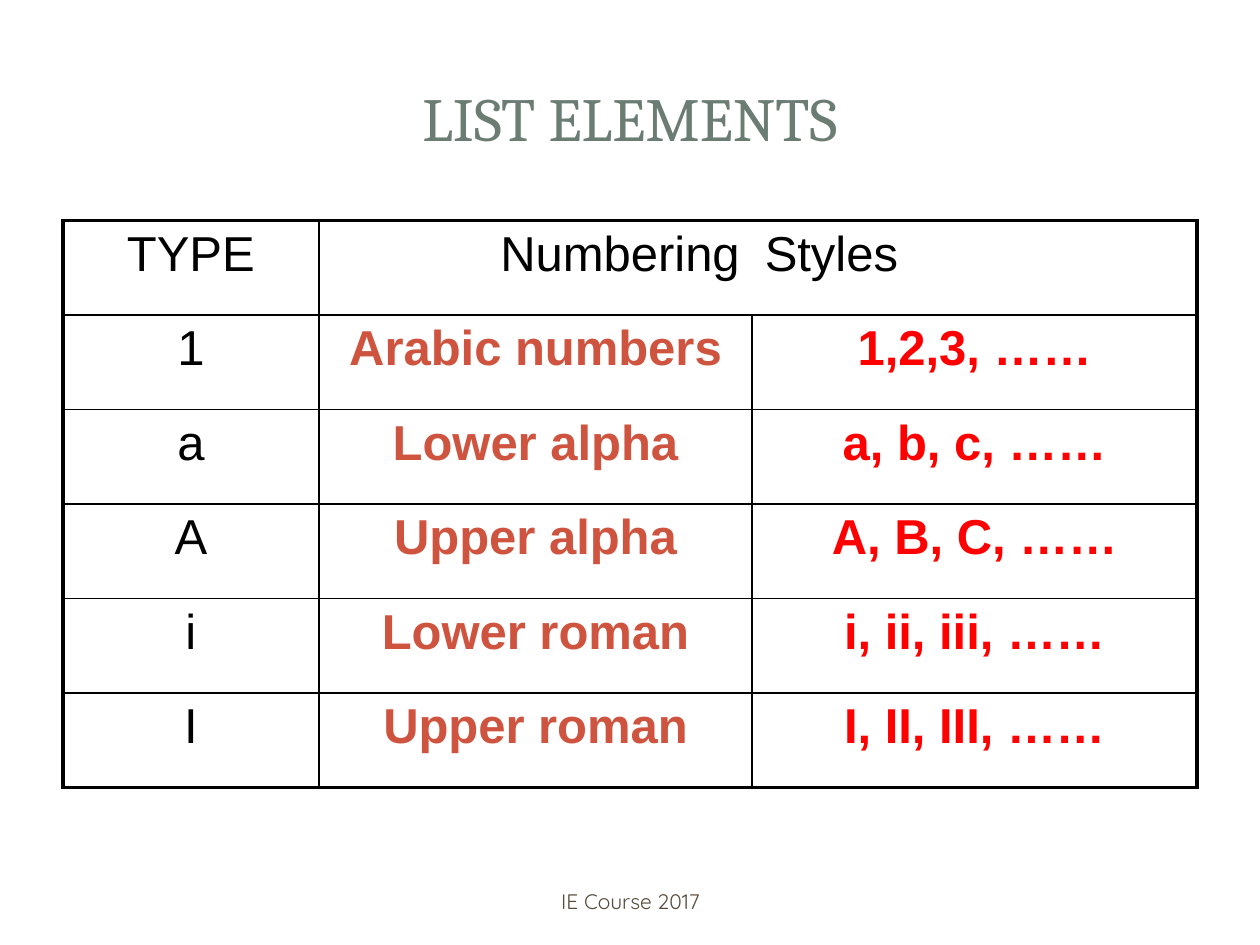
from lxml.etree import SubElement
from pptx import Presentation
from pptx.dml.color import RGBColor
from pptx.enum.shapes import MSO_SHAPE
from pptx.enum.text import MSO_ANCHOR, PP_ALIGN
from pptx.oxml.ns import qn
from pptx.util import Inches, Pt

BLACK = RGBColor(0x00, 0x00, 0x00)
WHITE = RGBColor(0xFF, 0xFF, 0xFF)
RED = RGBColor(0xFF, 0x00, 0x00)
RUST = RGBColor(0xCF, 0x54, 0x3F)
SAGE = RGBColor(0x6B, 0x7D, 0x72)
BROWN = RGBColor(0x56, 0x4B, 0x3C)

THIN, THICK = 1, 2.25
COL_WIDTHS = [2.03, 3.44, 3.53]
COL_COLORS = [BLACK, RUST, RED]
ROWS = [
    ["TYPE", "Numbering", "Styles"],
    ["1", "Arabic numbers", "1,2,3, ……"],
    ["a", "Lower alpha", "a, b, c, ……"],
    ["A", "Upper alpha", "A, B, C, ……"],
    ["i", "Lower roman", "i, ii, iii, ……"],
    ["I", "Upper roman", "I, II, III, ……"],
]


def set_text(tf, text, font, size, color, bold=False, align=PP_ALIGN.CENTER):
    """Write one formatted paragraph into a text frame."""
    tf.text = text
    p = tf.paragraphs[0]
    p.alignment = align
    p.font.name = font
    p.font.size = Pt(size)
    p.font.bold = bold
    p.font.color.rgb = color


def set_border(cell, side, width):
    """Draw one side of a cell, or hide it when width is zero."""
    ln = SubElement(cell._tc.get_or_add_tcPr(), qn(f"a:ln{side}"), w=str(Pt(width)))
    if width:
        fill = SubElement(ln, qn("a:solidFill"))
        SubElement(fill, qn("a:srgbClr"), val=str(BLACK))
    else:
        SubElement(ln, qn("a:noFill"))


def add_panel(s, shape_type, left, top, width, height):
    """Add a plain white backdrop panel."""
    sp = s.shapes.add_shape(shape_type, Inches(left), Inches(top), Inches(width), Inches(height))
    sp.shadow.inherit = False
    sp.fill.solid()
    sp.fill.fore_color.rgb = WHITE
    sp.line.fill.background()
    return sp


def add_backdrop(s):
    """Add the slide panel and the two title panels."""
    page = add_panel(s, MSO_SHAPE.ROUNDED_RECTANGLE, 0.1, 0.11, 9.8, 7.29)
    page.adjustments[0] = 0.02
    band = add_panel(s, MSO_SHAPE.RECTANGLE, 0.3, 0.3, 9.4, 1.45)
    color = band.fill._xPr.find(qn("a:solidFill"))[0]
    SubElement(color, qn("a:alpha"), val="83000")
    add_panel(s, MSO_SHAPE.RECTANGLE, 0.41, 0.41, 9.17, 1.22)


def add_title(s, text):
    """Place and format the slide title in front of the panels."""
    title = s.shapes.title
    s.shapes._spTree.append(title._element)
    title.left, title.top = Inches(0.5), Inches(0.3)
    title.width, title.height = Inches(9), Inches(1.25)
    title.text_frame.vertical_anchor = MSO_ANCHOR.MIDDLE
    set_text(title.text_frame, text, "Cambria", 35, SAGE)


def add_styles_table(s):
    """Add the table of numbering styles with a thick outer frame."""
    last_row, last_col = len(ROWS) - 1, len(COL_WIDTHS) - 1
    table = s.shapes.add_table(len(ROWS), len(COL_WIDTHS), Inches(0.5), Inches(1.75),
                               Inches(9), Inches(4.5)).table
    table.horz_banding = False
    for column, width in zip(table.columns, COL_WIDTHS):
        column.width = Inches(width)
    header_aligns = [PP_ALIGN.CENTER, PP_ALIGN.RIGHT, PP_ALIGN.LEFT]
    for i, row in enumerate(ROWS):
        for j, text in enumerate(row):
            cell = table.cell(i, j)
            header = i == 0
            set_text(cell.text_frame, text, "Arial", 28,
                     BLACK if header else COL_COLORS[j],
                     bold=not header and j > 0,
                     align=header_aligns[j] if header else PP_ALIGN.CENTER)
            set_border(cell, "L", THICK if j == 0 else 0 if header and j == 2 else THIN)
            set_border(cell, "R", THICK if j == last_col else 0 if header and j == 1 else THIN)
            set_border(cell, "T", THICK if header else THIN)
            set_border(cell, "B", THICK if i == last_row else THIN)
            cell.fill.background()


def add_footer(s, text):
    """Add the centred footer line."""
    tf = s.shapes.add_textbox(Inches(3.42), Inches(6.95), Inches(3.17), Inches(0.4)).text_frame
    tf.word_wrap = True
    tf.vertical_anchor = MSO_ANCHOR.MIDDLE
    set_text(tf, text, "Quicksand", 12, BROWN)


def main():
    """Build the slide and save it."""
    prs = Presentation()
    prs.slide_width, prs.slide_height = Inches(10), Inches(7.5)
    s = prs.slides.add_slide(prs.slide_layouts[5])
    add_backdrop(s)
    add_title(s, "LIST ELEMENTS")
    add_styles_table(s)
    add_footer(s, "IE Course 2017")
    prs.save("out.pptx")


if __name__ == "__main__":
    main()
